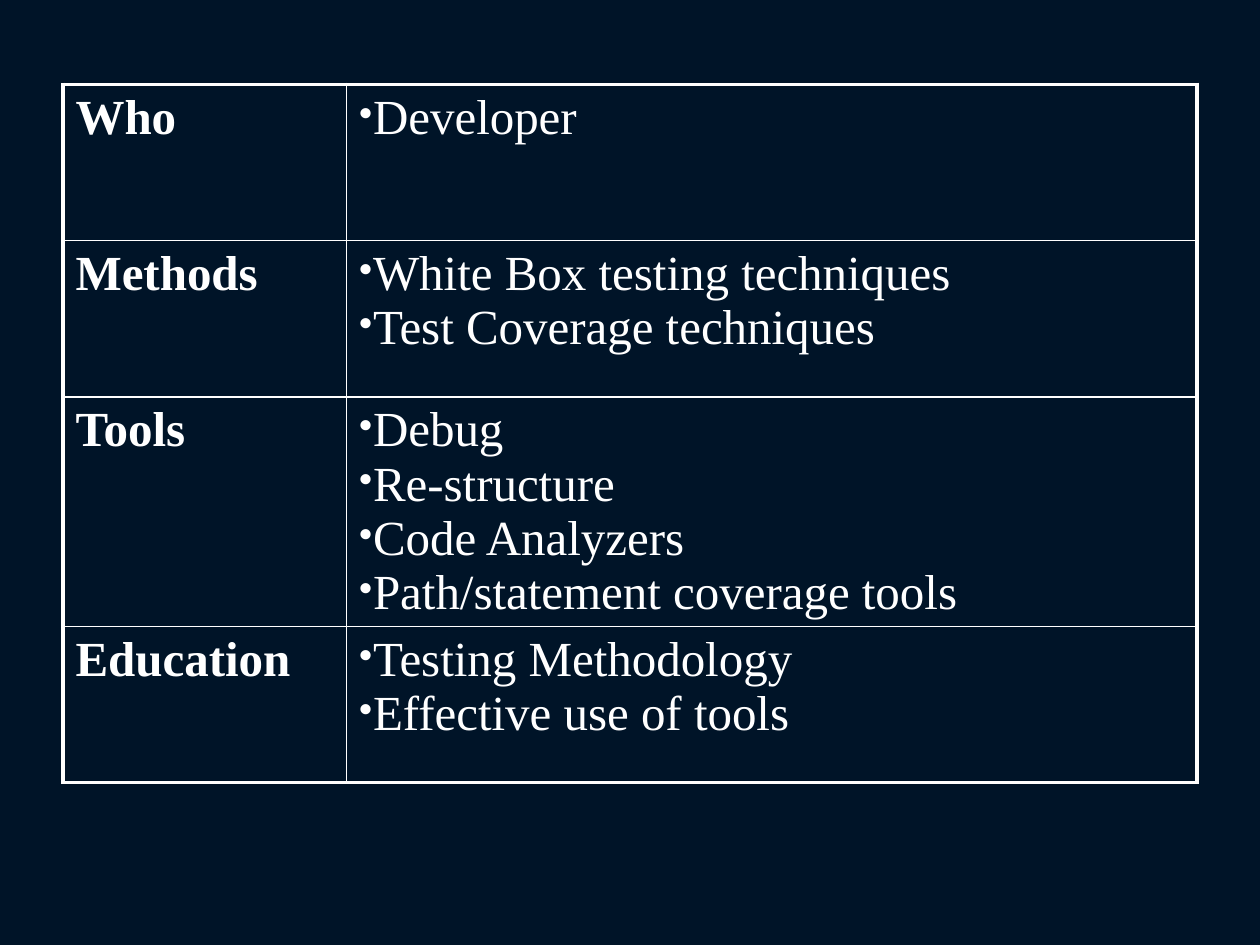
from lxml.etree import SubElement
from pptx import Presentation
from pptx.dml.color import RGBColor
from pptx.oxml.ns import qn
from pptx.util import Inches, Pt

NAVY = RGBColor(0x00, 0x14, 0x28)
WHITE = RGBColor(0xFF, 0xFF, 0xFF)
FONT = "Times New Roman"
THICK, THIN = Pt(2.25), Pt(1)

ROWS = [
    ("Who", ["Developer"]),
    ("Methods", ["White Box testing techniques", "Test Coverage techniques"]),
    ("Tools", ["Debug", "Re-structure", "Code Analyzers",
               "Path/statement coverage tools"]),
    ("Education", ["Testing Methodology", "Effective use of tools"]),
]


def set_borders(cell, widths):
    """Draw white left, right, top and bottom borders of the given widths."""
    tcPr = cell._tc.get_or_add_tcPr()
    for i, (side, width) in enumerate(zip("LRTB", widths)):
        ln = SubElement(tcPr, qn(f"a:ln{side}"), w=str(width))
        fill = SubElement(ln, qn("a:solidFill"))
        SubElement(fill, qn("a:srgbClr"), val=str(WHITE))
        tcPr.insert(i, ln)  # borders come before the cell fill


def add_bullet(p):
    """Give the paragraph a small white bullet without indent."""
    pPr = p._p.get_or_add_pPr()
    pPr.set("marL", "0")
    pPr.set("indent", "0")
    color = SubElement(pPr, qn("a:buClr"))
    SubElement(color, qn("a:srgbClr"), val=str(WHITE))
    SubElement(pPr, qn("a:buSzPct"), val="80000")
    SubElement(pPr, qn("a:buChar"), char="•")


prs = Presentation()
prs.slide_width, prs.slide_height = Inches(10), Inches(7.5)
s = prs.slides.add_slide(prs.slide_layouts[6])
s.background.fill.solid()
s.background.fill.fore_color.rgb = NAVY

# Table frame
row_h = Inches(1.24)
table = s.shapes.add_table(len(ROWS), 2, Inches(0.5), Inches(0.67),
                           Inches(9), row_h * len(ROWS)).table
table.first_row = table.horz_banding = False
table.columns[0].width = Inches(2.25)
table.columns[1].width = Inches(6.75)

# Cells: bold heading on the left, bullets on the right
last = len(ROWS) - 1
for i, (heading, items) in enumerate(ROWS):
    table.rows[i].height = row_h
    for j, lines in enumerate([[heading], items]):
        cell = table.cell(i, j)
        cell.fill.background()
        set_borders(cell, [THICK if j == 0 else THIN,
                           THICK if j == 1 else THIN,
                           THICK if i == 0 else THIN,
                           THICK if i == last else THIN])
        tf = cell.text_frame
        for n, line in enumerate(lines):
            p = tf.add_paragraph() if n else tf.paragraphs[0]
            if j == 1:
                add_bullet(p)
            r = p.add_run()
            r.text = line
            r.font.name = FONT
            r.font.size = Pt(28)
            r.font.bold = j == 0
            r.font.color.rgb = WHITE

prs.save("out.pptx")
